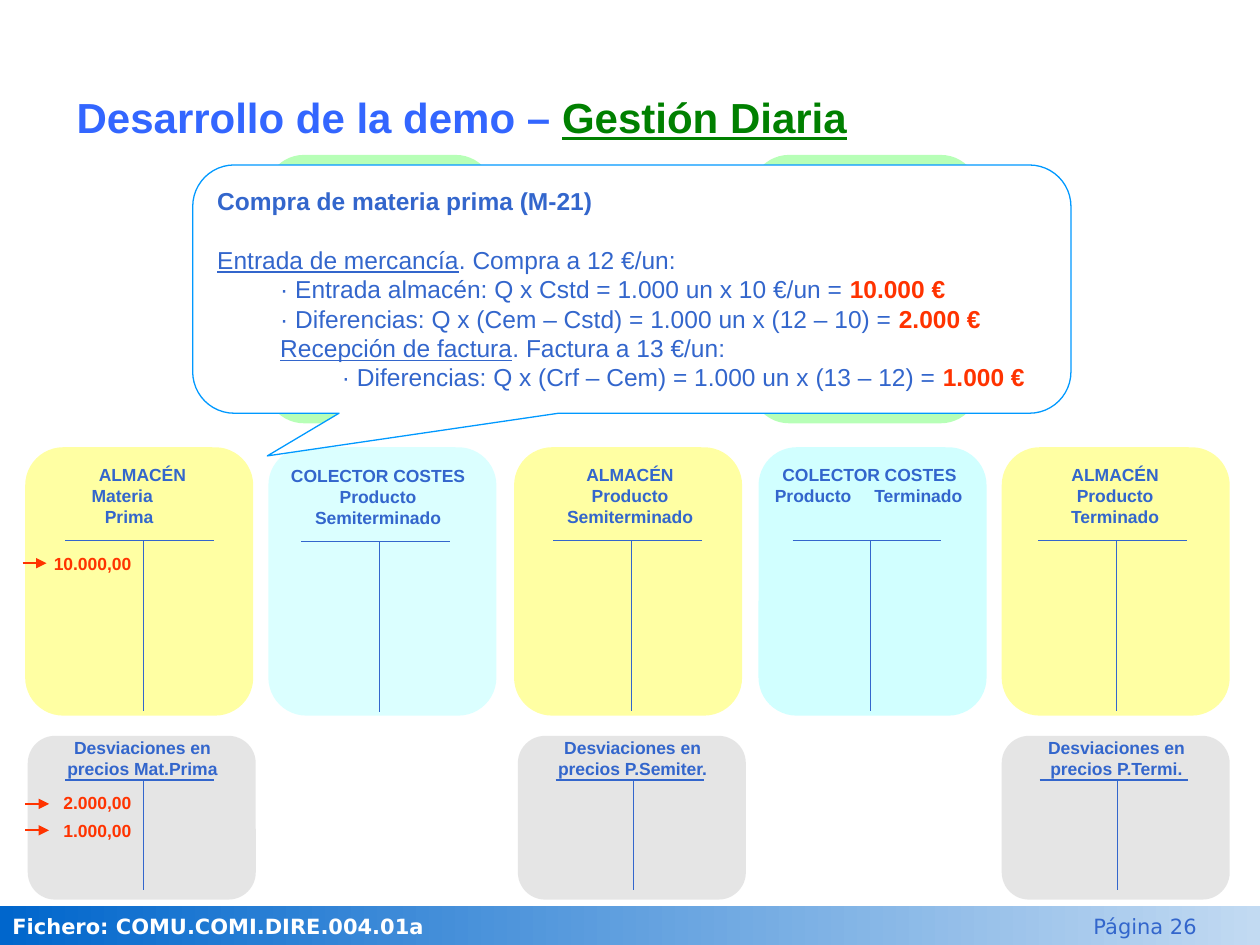
from lxml.etree import SubElement
from pptx import Presentation
from pptx.dml.color import RGBColor
from pptx.enum.shapes import MSO_CONNECTOR, MSO_SHAPE
from pptx.enum.text import MSO_ANCHOR, PP_ALIGN
from pptx.oxml.ns import qn
from pptx.util import Inches, Pt

BLUE = RGBColor(0x33, 0x66, 0xCC)
RED = RGBColor(0xFF, 0x33, 0x00)
TITLE = RGBColor(0x33, 0x66, 0xFF)
GREEN = RGBColor(0x00, 0x80, 0x00)
WHITE = RGBColor(0xFF, 0xFF, 0xFF)
EDGE = RGBColor(0x00, 0x99, 0xFF)
DEEP = RGBColor(0x00, 0x66, 0xCC)
PALE = RGBColor(0xC2, 0xDA, 0xF2)
CYAN = RGBColor(0xCC, 0xFF, 0xFF)
YELLOW = RGBColor(0xFF, 0xFF, 0x99)
LIME = RGBColor(0x99, 0xFF, 0x99)
GRAY = RGBColor(0xC0, 0xC0, 0xC0)


def add_run(par, text, size, color, bold=False, under=False, face="Arial"):
    run = par.add_run()
    run.text = text
    font = run.font
    font.name, font.size, font.bold = face, Pt(size), bold
    font.underline = under
    font.color.rgb = color


def add_text(slide, left, top, width, height, lines, size=10, color=BLUE,
             align=PP_ALIGN.LEFT, bold=True, face="Arial", side=0.1, gap=0):
    box = slide.shapes.add_textbox(
        Inches(left), Inches(top), Inches(width), Inches(height))
    frame = box.text_frame
    frame.word_wrap = True
    frame.margin_left = frame.margin_right = Inches(side)
    for i, line in enumerate(lines):
        par = frame.add_paragraph() if i else frame.paragraphs[0]
        par.alignment = align
        if i and gap:
            par.space_before = Pt(gap)
        add_run(par, line, size, color, bold, face=face)
    return frame


def add_panel(slide, left, top, height, color, alpha):
    panel = slide.shapes.add_shape(
        MSO_SHAPE.ROUNDED_RECTANGLE,
        Inches(left), Inches(top), Inches(1.81), Inches(height))
    panel.adjustments[0] = 0.167
    panel.shadow.inherit = False
    panel.line.fill.background()
    panel.fill.solid()
    panel.fill.fore_color.rgb = color
    tint = panel.fill._xPr.find(qn("a:solidFill"))[0]
    SubElement(tint, qn("a:alpha")).set("val", str(alpha * 1000))


def add_line(slide, x1, y1, x2, y2, color=BLUE, width=0.75, arrow=False):
    line = slide.shapes.add_connector(
        MSO_CONNECTOR.STRAIGHT, Inches(x1), Inches(y1), Inches(x2), Inches(y2))
    line.line.color.rgb = color
    line.line.width = Pt(width)
    if arrow:
        SubElement(line.line._ln, qn("a:tailEnd")).set("type", "triangle")
    SubElement(line._element.spPr, qn("a:effectLst"))


def add_account(slide, left, top, bar, foot, lines, side=0.1):
    frame = add_text(slide, left, top, 1.5, 0.6, lines,
                     align=PP_ALIGN.CENTER, side=side)
    add_line(slide, left + 0.76, bar, left + 0.76, foot)
    add_line(slide, left + 0.14, bar, left + 1.32, bar)
    return frame


def add_stores(slide):
    stores = [
        (0.2, 0.38, 3.63, YELLOW, 90, 0.1, ["ALMACÉN", "Materia", "Prima"]),
        (2.13, 2.25, 3.64, CYAN, 70, 0,
         ["COLECTOR COSTES Producto Semiterminado"]),
        (4.08, 4.25, 3.63, YELLOW, 90, 0.1, ["ALMACÉN Producto Semiterminado"]),
        (6.02, 6.15, 3.63, CYAN, 90, 0,
         ["COLECTOR COSTES", "Producto\tTerminado"]),
        (7.95, 8.1, 3.63, YELLOW, 90, 0.1, ["ALMACÉN Producto Terminado"]),
    ]
    frames = []
    for left, inner, top, color, alpha, side, lines in stores:
        add_panel(slide, left, 3.55, 2.13, color, alpha)
        frames.append(add_account(
            slide, inner, top, top + 0.66, top + 2.01, lines, side))
    first, second = frames[0].paragraphs[1:]
    first._p.get_or_add_pPr().set("marR", str(Inches(0.32)))
    second._p.get_or_add_pPr().set("marL", str(Inches(0.11)))
    pair = frames[3].paragraphs[1]
    pair.alignment = PP_ALIGN.LEFT
    tabs = SubElement(pair._p.get_or_add_pPr(), qn("a:tabLst"))
    stop = SubElement(tabs, qn("a:tab"))
    stop.set("pos", str(Inches(0.79)))
    stop.set("algn", "l")


def add_gaps(slide):
    for left, name in ((0.22, "Mat.Prima"), (4.11, "P.Semiter."),
                       (7.95, "P.Termi.")):
        add_panel(slide, left, 5.84, 1.3, GRAY, 40)
        add_account(slide, left + 0.16, 5.8, 6.19, 7.06,
                    [f"Desviaciones en precios {name}"])


def add_sums(slide):
    for top, height, lines in ((4.34, 0.27, ["10.000,00"]),
                               (6.24, 0.49, ["2.000,00", "1.000,00"])):
        add_text(slide, 0.12, top, 1.02, height, lines, color=RED,
                 align=PP_ALIGN.RIGHT, gap=3.7)
    for left, y in ((0.18, 4.47), (0.2, 6.38), (0.2, 6.59)):
        add_line(slide, left, y, left + 0.19, y, RED, 1, True)


def add_callout(slide):
    shape = slide.shapes.add_shape(
        MSO_SHAPE.ROUNDED_RECTANGULAR_CALLOUT,
        Inches(1.53), Inches(1.31), Inches(6.97), Inches(1.97))
    for i, value in enumerate((-0.415, 0.672, 0.167)):
        shape.adjustments[i] = value
    shape.shadow.inherit = False
    shape.fill.solid()
    shape.fill.fore_color.rgb = WHITE
    shape.line.color.rgb = EDGE
    shape.line.width = Pt(0.75)
    frame = shape.text_frame
    frame.word_wrap = True
    frame.vertical_anchor = MSO_ANCHOR.MIDDLE
    bold, under, plain = (BLUE, True), (BLUE, False, True), (BLUE,)
    strong = (RED, True)
    rows = [
        (0, 0, [("Compra de materia prima (M-21)", bold)]),
        (0, 16.5, [("Entrada de mercancía", under),
                   (". Compra a 12 €/un:", plain)]),
        (0.5, 0, [("· Entrada almacén: Q x Cstd = 1.000 un x 10 €/un = ", plain),
                  ("10.000 €", strong)]),
        (0.5, 0, [("· Diferencias: Q x (Cem – Cstd) = 1.000 un x (12 – 10) = ",
                   plain), ("2.000 €", strong)]),
        (0.5, 0, [("Recepción de factura", under),
                  (". Factura a 13 €/un:", plain)]),
        (0.99, 0, [("· Diferencias: Q x (Crf – Cem) = 1.000 un x (13 – 12) = ",
                    plain), ("1.000 €", strong)]),
    ]
    for i, (indent, gap, parts) in enumerate(rows):
        par = frame.add_paragraph() if i else frame.paragraphs[0]
        par.alignment = PP_ALIGN.LEFT
        par._p.get_or_add_pPr().set("marL", str(Inches(indent)))
        if gap:
            par.space_before = Pt(gap)
        for text, style in parts:
            add_run(par, text, 14, *style)


def add_footer(slide):
    band = slide.shapes.add_shape(
        MSO_SHAPE.RECTANGLE, 0, Inches(7.19), Inches(10), Inches(0.33))
    band.shadow.inherit = False
    band.line.fill.background()
    band.fill.gradient()
    band.fill.gradient_angle = 0
    for stop, color in zip(band.fill.gradient_stops, (DEEP, PALE)):
        stop.color.rgb = color
    add_text(slide, 8.58, 7.2, 1.42, 0.33, ["Página 26"], 12,
             bold=False, face="DejaVu Sans")
    add_text(slide, 0, 7.2, 3.58, 0.3, ["Fichero: COMU.COMI.DIRE.004.01a"],
             12, WHITE, face="DejaVu Sans")


def main():
    deck = Presentation()
    deck.slide_width, deck.slide_height = Inches(10), Inches(7.5)
    slide = deck.slides.add_slide(deck.slide_layouts[6])
    add_footer(slide)
    for left in (2.11, 5.96):
        add_panel(slide, left, 1.23, 2.13, LIME, 70)
    head = add_text(slide, 0.51, 0.68, 9.06, 0.55,
                    ["Desarrollo de la demo – "], 24, TITLE)
    add_run(head.paragraphs[0], "Gestión Diaria", 24, GREEN, True, True)
    add_stores(slide)
    add_gaps(slide)
    add_sums(slide)
    add_callout(slide)
    deck.save("out.pptx")


if __name__ == "__main__":
    main()
